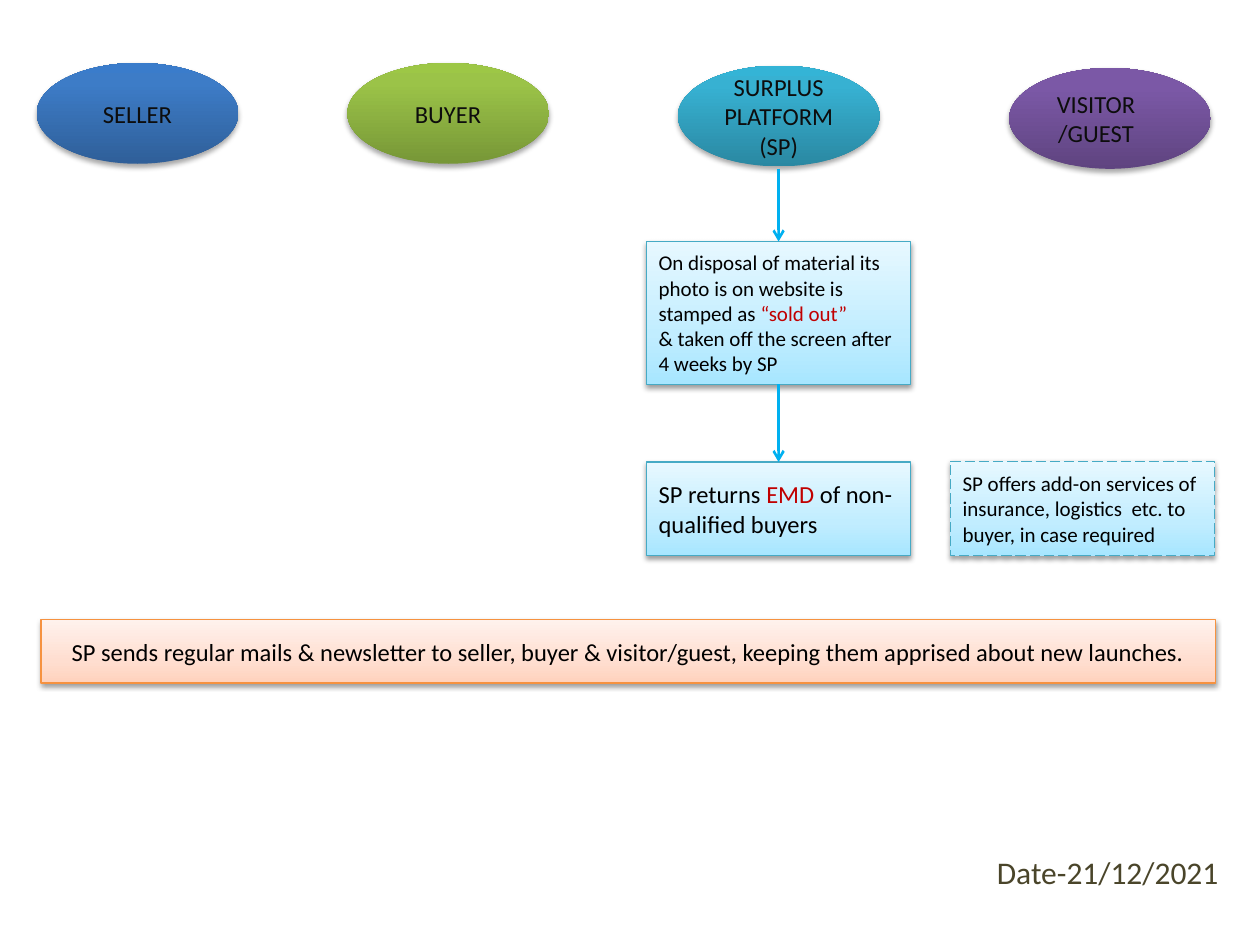
import pptx
import pptx.util
import pptx.dml.color
import pptx.enum.dml
import pptx.enum.shapes
import pptx.enum.text
import pptx.oxml.ns
from lxml import etree

Pt = pptx.util.Pt
RGB = pptx.dml.color.RGBColor
SHAPE = pptx.enum.shapes.MSO_SHAPE
ALIGN = pptx.enum.text.PP_ALIGN
qn = pptx.oxml.ns.qn

WHITE = RGB(0xFF, 0xFF, 0xFF)
BLACK = RGB(0, 0, 0)
INK = RGB(0x0D, 0x0D, 0x0D)
RED = RGB(0xC0, 0, 0)
OLIVE = RGB(0x4A, 0x45, 0x2A)
ARROW = RGB(0, 0xB0, 0xF0)
TEAL = RGB(0x46, 0xAA, 0xC5)
ORANGE = RGB(0xF6, 0x92, 0x40)
BLUES = RGB(0x2F, 0x5F, 0x99), RGB(0x3D, 0x7C, 0xC7), RGB(0x3A, 0x7C, 0xCB)
GREENS = RGB(0x77, 0x97, 0x37), RGB(0x9B, 0xC3, 0x48), RGB(0x9D, 0xC7, 0x46)
AQUAS = RGB(0x2A, 0x88, 0xA2), RGB(0x37, 0xB1, 0xD2), RGB(0x34, 0xB4, 0xD6)
PURPLES = RGB(0x5F, 0x44, 0x80), RGB(0x7B, 0x58, 0xA6), RGB(0x7C, 0x57, 0xA8)
SKY = RGB(0xA7, 0xE6, 0xFF), RGB(0xC1, 0xED, 0xFF), RGB(0xE7, 0xF8, 0xFF)
PEACH = RGB(0xFF, 0xD2, 0xBD), RGB(0xFF, 0xDE, 0xD0), RGB(0xFF, 0xF2, 0xED)


def add_xml(parent, tag, **attrs):
    child = etree.SubElement(parent, qn(tag))
    for name, value in attrs.items():
        child.set(name, str(value))
    return child


class Flow:
    font = "Calibri"

    def __init__(self, prs):
        self.s = prs.slides.add_slide(prs.slide_layouts[6])

    def shape(self, kind, x, y, w, h):
        sp = self.s.shapes.add_shape(kind, Pt(x), Pt(y), Pt(w), Pt(h))
        sp.shadow.inherit = False
        sp.line.fill.background()
        return sp

    def gradient(self, sp, colors, middle):
        sp.fill.gradient()
        sp.fill.gradient_angle = 90
        stops = sp.element.spPr.find(qn("a:gradFill")).find(qn("a:gsLst"))
        for stop in list(stops):
            stops.remove(stop)
        for pos, color in zip((0, middle, 100), colors):
            add_xml(add_xml(stops, "a:gs", pos=pos * 1000), "a:srgbClr", val=color)

    def cast_shadow(self, sp, alpha, dist):
        effects = sp.element.spPr.find(qn("a:effectLst"))
        shadow = add_xml(effects, "a:outerShdw", blurRad=Pt(3.1), dist=Pt(dist),
                         dir=5400000, rotWithShape=0)
        add_xml(add_xml(shadow, "a:srgbClr", val="000000"), "a:alpha", val=alpha * 1000)

    def text(self, sp, paragraphs, size, color, align):
        tf = sp.text_frame
        tf.word_wrap = True
        tf.vertical_anchor = pptx.enum.text.MSO_ANCHOR.MIDDLE
        for i, runs in enumerate(paragraphs):
            p = tf.add_paragraph() if i else tf.paragraphs[0]
            p.alignment = align
            for words, tint in runs:
                r = p.add_run()
                r.text = words
                r.font.name = self.font
                r.font.size = Pt(size)
                r.font.color.rgb = tint or color
        return tf

    def role(self, x, y, colors, *lines):
        sp = self.shape(SHAPE.OVAL, x, y, 115.2, 57.6)
        self.gradient(sp, colors, 80)
        self.cast_shadow(sp, 35, 1.8)
        return self.text(sp, [[(line, None)] for line in lines], 14, INK, ALIGN.CENTER)

    def box(self, x, y, w, h, paragraphs, size=12, colors=SKY, line=TEAL,
            align=ALIGN.LEFT, dashed=False):
        sp = self.shape(SHAPE.RECTANGLE, x, y, w, h)
        self.gradient(sp, colors, 35)
        self.cast_shadow(sp, 38, 1.6)
        sp.line.color.rgb = line
        sp.line.width = Pt(0.75)
        if dashed:
            sp.line.dash_style = pptx.enum.dml.MSO_LINE.LONG_DASH
        self.text(sp, paragraphs, size, BLACK, align)

    def date(self, x, y, w, h, words):
        sp = self.shape(SHAPE.RECTANGLE, x, y, w, h)
        sp.fill.solid()
        sp.fill.fore_color.rgb = WHITE
        self.text(sp, [[(words, None)]], 18, OLIVE, ALIGN.CENTER)

    def down_arrow(self, x, top, bottom):
        c = self.s.shapes.add_connector(
            pptx.enum.shapes.MSO_CONNECTOR.STRAIGHT, Pt(x), Pt(top), Pt(x), Pt(bottom))
        c.line.color.rgb = ARROW
        c.line.width = Pt(1.5)
        add_xml(c.line._get_or_add_ln(), "a:tailEnd", type="arrow")
        add_xml(c._element.spPr, "a:effectLst")


prs = pptx.Presentation()
prs.slide_width, prs.slide_height = Pt(720), Pt(540)
flow = Flow(prs)

flow.date(552, 480, 162, 36, "Date-21/12/2021")

flow.role(21, 36, BLUES, "SELLER")
flow.role(198.5, 36, GREENS, "BUYER")
flow.role(387.4, 37.5, AQUAS, "SURPLUS PLATFORM (SP)")
visitor = flow.role(576.7, 38.9, PURPLES, "VISITOR", "/GUEST")
visitor.paragraphs[0]._p.get_or_add_pPr().set("marR", str(Pt(16)))

STEP_X, STEP_W = 369.3, 151.2
flow.box(STEP_X, 138, STEP_W, 81.6, [
    [("On disposal of material its photo is on website is stamped as ", None),
     ("“sold out”", RED)],
    [("& taken off the screen after 4 weeks by SP", None)]])
flow.box(543, 263.6, STEP_W, 54, [
    [("SP offers add-on services of insurance, logistics  etc. to buyer, "
      "in case required", None)]], dashed=True)
flow.box(STEP_X, 264, STEP_W, 53.4, [
    [("SP returns ", None), ("EMD", RED), (" of non-qualified buyers", None)]], size=14)
flow.box(23.5, 354, 671, 36.4, [
    [("SP sends regular mails & newsletter to seller, buyer & visitor/guest, "
      "keeping them apprised about new launches.", None)]],
    size=14, colors=PEACH, line=ORANGE, align=ALIGN.CENTER)

for top, bottom in ((96.4, 138), (219.6, 264)):
    flow.down_arrow(STEP_X + STEP_W / 2, top, bottom)

prs.save("out.pptx")
